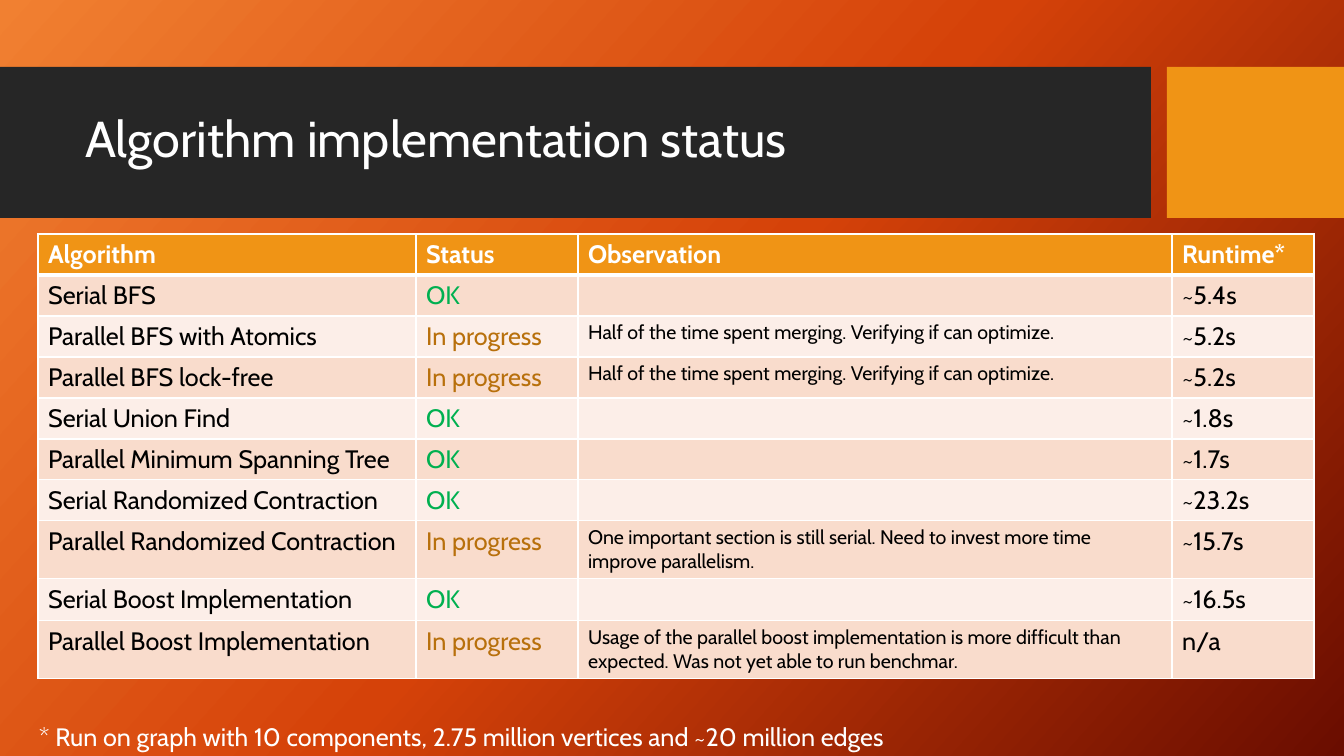
from copy import deepcopy

from lxml.etree import SubElement
from pptx import Presentation
from pptx.dml.color import RGBColor
from pptx.enum.shapes import MSO_SHAPE as Preset
from pptx.enum.text import MSO_ANCHOR as Anchor, PP_ALIGN as Align
from pptx.oxml.ns import qn
from pptx.util import Pt

PIXEL = 12192000 / 1344
FONT = "Cabin"
WHITE = RGBColor(0xFF, 0xFF, 0xFF)
BLACK = RGBColor(0x00, 0x00, 0x00)
CHARCOAL = RGBColor(0x26, 0x26, 0x26)
AMBER = RGBColor(0xF0, 0x94, 0x15)
GREEN = RGBColor(0x00, 0xB0, 0x50)
BROWN = RGBColor(0xB8, 0x70, 0x0C)
BAND_DARK = RGBColor(0xF9, 0xDC, 0xCC)
BAND_LIGHT = RGBColor(0xFC, 0xEE, 0xE8)
GRADIENT = (
    (0, RGBColor(0xF1, 0x80, 0x31)),
    (0.5, RGBColor(0xD5, 0x42, 0x09)),
    (1, RGBColor(0x6A, 0x0D, 0x00)),
)

STATUS_COLORS = {"OK": GREEN, "In progress": BROWN}
MERGING = "Half of the time spent merging. Verifying if can optimize."
STATUS_ROWS = (
    ("Algorithm", "Status", "Observation", "Runtime*"),
    ("Serial BFS", "OK", "", "~5.4s"),
    ("Parallel BFS with Atomics", "In progress", MERGING, "~5.2s"),
    ("Parallel BFS lock-free", "In progress", MERGING, "~5.2s"),
    ("Serial Union Find", "OK", "", "~1.8s"),
    ("Parallel Minimum Spanning Tree", "OK", "", "~1.7s"),
    ("Serial Randomized Contraction", "OK", "", "~23.2s"),
    ("Parallel Randomized Contraction", "In progress",
     "One important section is still serial. Need to invest more time improve parallelism.",
     "~15.7s"),
    ("Serial Boost Implementation", "OK", "", "~16.5s"),
    ("Parallel Boost Implementation", "In progress",
     "Usage of the parallel boost implementation is more difficult than expected. "
     "Was not yet able to run benchmar.", "n/a"),
)
COLUMN_WIDTHS = (378, 162, 594, 142)
ROW_HEIGHTS = (41, 41, 41, 41, 41, 40, 41, 58, 42, 58)


def emu(*pixels):
    return [round(value * PIXEL) for value in pixels]


def write(text_frame, text, size, color, bold=False):
    text_frame.text = text
    for run in text_frame.paragraphs[0].runs:
        run.font.name = FONT
        run.font.size = Pt(size)
        run.font.bold = bold
        run.font.color.rgb = color


def paint_background(slide):
    fill = slide.background.fill
    fill.gradient()
    fill.gradient_angle = 360 - 42
    stop_list = slide.element.find(".//" + qn("a:gsLst"))
    stop_list.append(deepcopy(stop_list[-1]))
    for stop, (position, color) in zip(fill.gradient_stops, GRADIENT):
        stop.position = position
        stop.color.rgb = color


def add_header(slide, left, top, width, height):
    accent_width, gap = 177, 16
    band_width = width - accent_width - gap
    for offset, block_width, color in (
        (0, band_width, CHARCOAL),
        (band_width + gap, accent_width, AMBER),
    ):
        block = slide.shapes.add_shape(
            Preset.RECTANGLE, *emu(left + offset, top, block_width, height))
        block.shadow.inherit = False
        block.fill.solid()
        block.fill.fore_color.rgb = color
        block.line.fill.background()
    title = slide.shapes.title
    title.left, title.top, title.width, title.height = emu(
        left + 75, top + 15, band_width - 91, height - 32)
    write(title.text_frame, "Algorithm implementation status", 36, WHITE)
    title.text_frame.vertical_anchor = Anchor.MIDDLE
    paragraph = title.text_frame.paragraphs[0]
    paragraph.alignment = Align.LEFT
    paragraph.line_spacing = 0.9
    title.element.getparent().append(title.element)


def set_borders(cell, bottom_width):
    properties = cell._tc.get_or_add_tcPr()
    for side, width in (("L", 1), ("R", 1), ("T", 1), ("B", bottom_width)):
        line = SubElement(properties, qn("a:ln" + side), w=str(Pt(width)))
        fill = SubElement(line, qn("a:solidFill"))
        SubElement(fill, qn("a:srgbClr"), val=str(WHITE))


def add_status_table(slide, left, top):
    box = emu(left, top, sum(COLUMN_WIDTHS), sum(ROW_HEIGHTS))
    table = slide.shapes.add_table(len(ROW_HEIGHTS), len(COLUMN_WIDTHS), *box).table
    for column, width in zip(table.columns, emu(*COLUMN_WIDTHS)):
        column.width = width
    for row, height in zip(table.rows, emu(*ROW_HEIGHTS)):
        row.height = height
    for row_index, texts in enumerate(STATUS_ROWS):
        is_header = row_index == 0
        band = AMBER if is_header else BAND_DARK if row_index % 2 else BAND_LIGHT
        for column_index, text in enumerate(texts):
            cell = table.cell(row_index, column_index)
            set_borders(cell, 3 if is_header else 1)
            cell.fill.solid()
            cell.fill.fore_color.rgb = band
            size = 14 if column_index == 2 and not is_header else 18
            color = WHITE if is_header else STATUS_COLORS.get(text, BLACK)
            if text:
                write(cell.text_frame, text, size, color, bold=is_header)


def add_footnote(slide, left, top, width, height):
    footnote = slide.shapes.add_textbox(*emu(left, top, width, height))
    write(footnote.text_frame,
          "* Run on graph with 10 components, 2.75 million vertices and ~20 million edges",
          18, WHITE)
    footnote.text_frame.word_wrap = False


def build_status_slide(presentation):
    slide = presentation.slides.add_slide(presentation.slide_layouts[5])
    paint_background(slide)
    add_header(slide, 0, 67, 1344, 151)
    add_status_table(slide, 38, 234)
    add_footnote(slide, 29, 716, 921, 40)


presentation = Presentation()
presentation.slide_width, presentation.slide_height = emu(1344, 756)
build_status_slide(presentation)
presentation.save("out.pptx")
